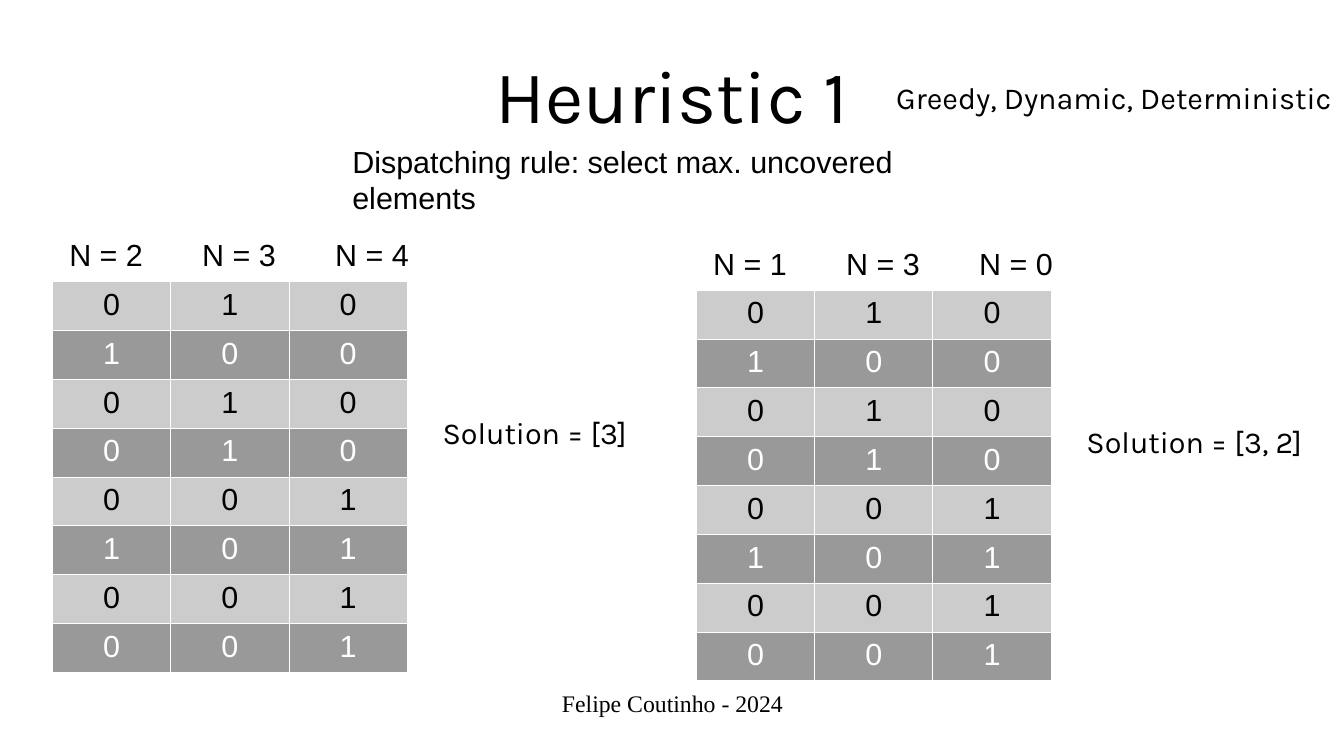
from lxml import etree
from pptx import Presentation
from pptx.dml.color import RGBColor
from pptx.enum.text import MSO_ANCHOR, MSO_AUTO_SIZE, PP_ALIGN
from pptx.oxml.ns import qn
from pptx.util import Inches, Pt

LEFT, MID = PP_ALIGN.LEFT, PP_ALIGN.CENTER
TOP, CENTER = MSO_ANCHOR.TOP, MSO_ANCHOR.MIDDLE
GROW, FIXED = MSO_AUTO_SIZE.SHAPE_TO_FIT_TEXT, MSO_AUTO_SIZE.NONE
COLORS = {"black": "000000", "white": "FFFFFF", "light": "CCCCCC", "dark": "999999"}

# Content
TITLE = "Heuristic 1"
TRAITS = "Greedy, Dynamic, Deterministic"
RULE = "Dispatching rule: select max. uncovered elements"
FOOTER = "Felipe Coutinho - 2024"
MATRIX = ["010", "100", "010", "010", "001", "101", "001", "001"]
STEPS = [
    {"at": (0.43, 2.31), "counts": [2, 3, 4], "picks": "[3]", "width": 1.75},
    {"at": (5.71, 2.38), "counts": [1, 3, 0], "picks": "[3, 2]", "width": 2.02},
]
COL, ROW, GAP = 0.97, 0.36, 1.09

prs = Presentation()
prs.slide_width, prs.slide_height = Inches(11.02), Inches(6.2)
slide = prs.slides.add_slide(prs.slide_layouts[5])


def write(frame, text, size=18, font="Arial", color="black", align=LEFT):
    para = frame.paragraphs[0]
    para.alignment = align
    run = para.add_run()
    run.text = text
    run.font.size, run.font.name = Pt(size), font
    run.font.color.rgb = RGBColor.from_string(COLORS[color])


def place(shape, box, text, wrap=False, inset=(0.1, 0.05), fit=GROW, anchor=TOP, **form):
    shape.left, shape.top, shape.width, shape.height = map(Inches, box)
    frame = shape.text_frame
    frame.word_wrap, frame.auto_size = wrap, fit
    frame.vertical_anchor = anchor
    frame.margin_left = frame.margin_right = Inches(inset[0])
    frame.margin_top = frame.margin_bottom = Inches(inset[1])
    write(frame, text, **form)


def label(box, text, **form):
    place(slide.shapes.add_textbox(0, 0, 0, 0), box, text, **form)


def edge(cell):
    props = cell._tc.get_or_add_tcPr()
    for side in ("lnL", "lnR", "lnT", "lnB"):
        line = etree.SubElement(props, qn("a:" + side), w=str(Pt(0.57)))
        fill = etree.SubElement(line, qn("a:solidFill"))
        etree.SubElement(fill, qn("a:srgbClr"), val=COLORS["white"])


def grid(x, y):
    rows, cols = len(MATRIX), len(MATRIX[0])
    size = map(Inches, (x, y, COL * cols, ROW * rows))
    table = slide.shapes.add_table(rows, cols, *size).table
    for r, digits in enumerate(MATRIX):
        table.rows[r].height = Inches(ROW)
        back, ink = ("dark", "white") if r % 2 else ("light", "black")
        for c, digit in enumerate(digits):
            cell = table.cell(r, c)
            edge(cell)
            cell.fill.solid()
            cell.fill.fore_color.rgb = RGBColor.from_string(COLORS[back])
            cell.margin_left = cell.margin_right = Inches(0.04)
            cell.margin_top = cell.margin_bottom = Inches(0.05)
            write(cell.text_frame, digit, color=ink, align=MID)


# Heading
place(slide.shapes.title, (0.55, 0.25, 9.92, 1.04), TITLE, wrap=True, inset=(0, 0),
      anchor=CENTER, size=44, font="Karla", align=MID)
label((2.79, 1.12, 5.71, 0.38), RULE)

# Tables with their counts and solutions
for step in STEPS:
    x, y = step["at"]
    grid(x, y)
    for i, count in enumerate(step["counts"]):
        label((x + 0.04 + GAP * i, y - 0.42, 0.87, 0.66), f"N = {count}", wrap=True)
    label((x + 3.1, y + 1.04, step["width"], 0.44), f"Solution = {step['picks']}",
          font="Karla")

# Traits and footer
label((7.25, 0.6, 3.89, 0.44), TRAITS, font="Karla")
label((3.77, 5.65, 3.49, 0.43), FOOTER, wrap=True, inset=(0, 0), fit=FIXED,
      size=14, font="Times New Roman", align=MID)

prs.save("out.pptx")
